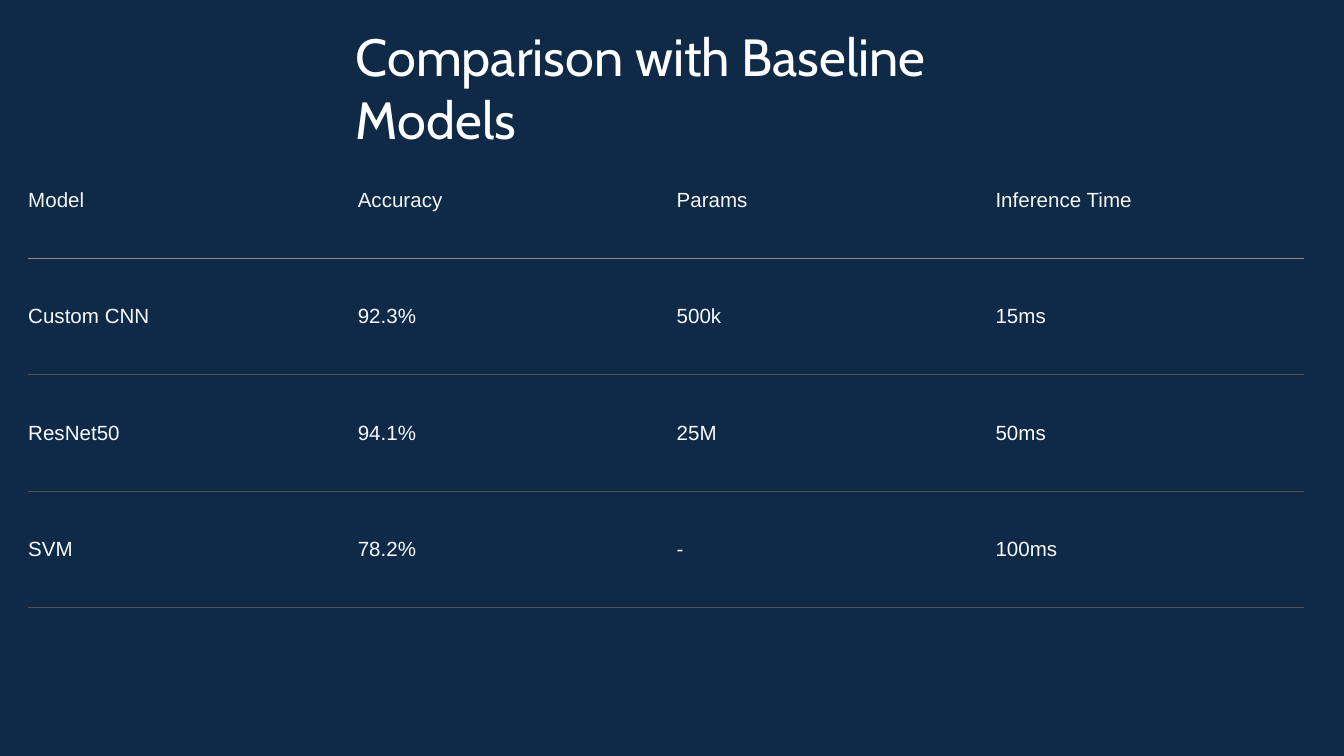
import dataclasses

import lxml.etree
import pptx
import pptx.dml.color
import pptx.enum.text
import pptx.oxml.ns
import pptx.util

Inches = pptx.util.Inches
Pt = pptx.util.Pt


@dataclasses.dataclass(frozen=True)
class Theme:
    background: str = "0E2A47"
    title_color: str = "FFFFFF"
    header_color: str = "F5F5F5"
    body_color: str = "F8FAFF"
    header_rule: str = "8B8B8B"
    body_rule: str = "525252"
    title_font: str = "Cabin"
    table_font: str = "Arial"
    title_size: float = 28
    table_size: float = 11
    rule_width: float = 0.7


THEME = Theme()

RESULTS = [
    ["Model", "Accuracy", "Params", "Inference Time"],
    ["Custom CNN", "92.3%", "500k", "15ms"],
    ["ResNet50", "94.1%", "25M", "50ms"],
    ["SVM", "78.2%", "-", "100ms"],
]


def write_text(frame, text, *, font, size, color):
    run = frame.paragraphs[0].add_run()
    run.text = text
    run.font.name = font
    run.font.size = Pt(size)
    run.font.color.rgb = pptx.dml.color.RGBColor.from_string(color)


def set_borders(cell, top=None, bottom=None):
    """Draw the horizontal rules that have a colour and hide all other edges."""
    qn = pptx.oxml.ns.qn
    properties = cell._tc.get_or_add_tcPr()
    for edge, color in (("L", None), ("R", None), ("T", top), ("B", bottom)):
        line = lxml.etree.SubElement(properties, qn(f"a:ln{edge}"))
        if color is None:
            lxml.etree.SubElement(line, qn("a:noFill"))
            continue
        line.set("w", str(Pt(THEME.rule_width)))
        fill = lxml.etree.SubElement(line, qn("a:solidFill"))
        lxml.etree.SubElement(fill, qn("a:srgbClr"), val=color)


def add_title(slide, left, top, width, height):
    title = slide.shapes.add_textbox(
        Inches(left), Inches(top), Inches(width), Inches(height))
    title.text_frame.word_wrap = True
    title.text_frame.auto_size = pptx.enum.text.MSO_AUTO_SIZE.SHAPE_TO_FIT_TEXT
    write_text(title.text_frame, "Comparison with Baseline Models",
               font=THEME.title_font, size=THEME.title_size, color=THEME.title_color)


def add_results(slide, left, top, width, height):
    results = slide.shapes.add_table(
        len(RESULTS), len(RESULTS[0]),
        Inches(left), Inches(top), Inches(width), Inches(height)).table
    results.first_row = False
    results.horz_banding = False

    rule_above = None
    for row, values in enumerate(RESULTS):
        is_header = row == 0
        rule_below = THEME.header_rule if is_header else THEME.body_rule
        for column, value in enumerate(values):
            cell = results.cell(row, column)
            cell.vertical_anchor = pptx.enum.text.MSO_ANCHOR.MIDDLE
            cell.margin_left = Inches(0.08 if column else 0)
            cell.margin_top = cell.margin_right = cell.margin_bottom = Inches(0.08)
            set_borders(cell, top=rule_above, bottom=rule_below)
            cell.fill.background()
            write_text(cell.text_frame, value,
                       font=THEME.table_font, size=THEME.table_size,
                       color=THEME.header_color if is_header else THEME.body_color)
        rule_above = rule_below


def main():
    deck = pptx.Presentation()
    deck.slide_width = Inches(10)
    deck.slide_height = deck.slide_width * 9 // 16
    slide = deck.slides.add_slide(deck.slide_layouts[6])

    # Background
    backdrop = slide.background.fill
    backdrop.solid()
    backdrop.fore_color.rgb = pptx.dml.color.RGBColor.from_string(THEME.background)

    # Title above the comparison table
    add_title(slide, 2.55, 0.13, 5.35, 0.57)
    add_results(slide, 0.21, 1.06, 9.49, 3.46)

    deck.save("out.pptx")


if __name__ == "__main__":
    main()
